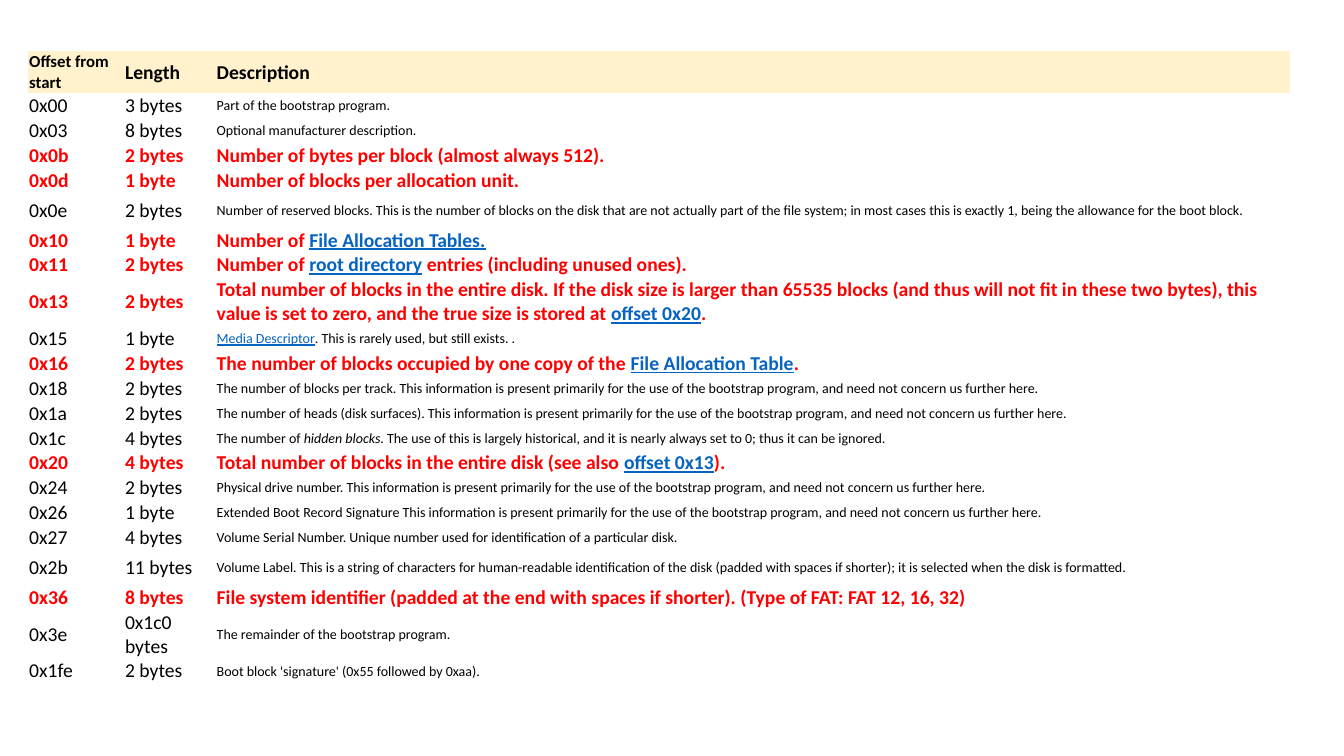
from dataclasses import dataclass

from pptx import Presentation
from pptx.dml.color import RGBColor
from pptx.enum.text import MSO_ANCHOR
from pptx.util import Inches, Pt

HEAD = ("Offset from start", "Length", "Description")
BOOT = ("This information is present primarily for the use of the bootstrap program, "
        "and need not concern us further here.")

# Offset, length, description. A description in parts alternates plain and marked text.
FIELDS = [
    ("0x00", "3 bytes", "Part of the bootstrap program."),
    ("0x03", "8 bytes", "Optional manufacturer description."),
    ("0x0b", "2 bytes", "Number of bytes per block (almost always 512)."),
    ("0x0d", "1 byte", "Number of blocks per allocation unit."),
    ("0x0e", "2 bytes", "Number of reserved blocks. This is the number of blocks on the disk "
     "that are not actually part of the file system; in most cases this is exactly 1, "
     "being the allowance for the boot block."),
    ("0x10", "1 byte", ("Number of ", "File Allocation Tables.")),
    ("0x11", "2 bytes", ("Number of ", "root directory", " entries (including unused ones).")),
    ("0x13", "2 bytes", ("Total number of blocks in the entire disk. If the disk size is larger "
     "than 65535 blocks (and thus will not fit in these two bytes), this value is set to zero, "
     "and the true size is stored at ", "offset 0x20", ".")),
    ("0x15", "1 byte", ("", "Media Descriptor", ". This is rarely used, but still exists. .")),
    ("0x16", "2 bytes", ("The number of blocks occupied by one copy of the ",
                         "File Allocation Table", ".")),
    ("0x18", "2 bytes", f"The number of blocks per track. {BOOT}"),
    ("0x1a", "2 bytes", f"The number of heads (disk surfaces). {BOOT}"),
    ("0x1c", "4 bytes", ("The number of ", "hidden blocks", ". The use of this is largely "
     "historical, and it is nearly always set to 0; thus it can be ignored.")),
    ("0x20", "4 bytes", ("Total number of blocks in the entire disk (see also ",
                         "offset 0x13", ").")),
    ("0x24", "2 bytes", f"Physical drive number. {BOOT}"),
    ("0x26", "1 byte", f"Extended Boot Record Signature {BOOT}"),
    ("0x27", "4 bytes", "Volume Serial Number. Unique number used for identification of a "
     "particular disk."),
    ("0x2b", "11 bytes", "Volume Label. This is a string of characters for human-readable "
     "identification of the disk (padded with spaces if shorter); it is selected when the "
     "disk is formatted."),
    ("0x36", "8 bytes", "File system identifier (padded at the end with spaces if shorter). "
     "(Type of FAT: FAT 12, 16, 32)"),
    ("0x3e", "0x1c0 bytes", "The remainder of the bootstrap program."),
    ("0x1fe", "2 bytes", "Boot block 'signature' (0x55 followed by 0xaa)."),
]
KEY = {"0x0b", "0x0d", "0x10", "0x11", "0x13", "0x16", "0x20", "0x36"}
ITALIC = {"0x1c"}

COLS = (0.95, 0.91, 10.65)  # inches
LINE, TOP = 17.8, 30  # row heights in points
TALL = {"0x0e": 25, "0x2b": 25, "0x13": 34.8, "0x3e": 34.8}
PLAIN_TABLE = "{2D5ABB26-0587-4C30-8999-92F81FD0307C}"


@dataclass(frozen=True)
class Theme:
    font: str = "Calibri"
    ink: str = "000000"
    key: str = "FF0000"
    link: str = "0563C1"
    band: str = "FFF2CC"
    body: int = 14
    head: int = 12
    note: int = 10
    inset: float = 0.35


THEME = Theme()


def write(cell, text, size=THEME.body, color=THEME.ink, bold=False, italic=False, fill=None):
    """Fill a cell; marked parts become italic or look like links."""
    cell.vertical_anchor = MSO_ANCHOR.MIDDLE
    cell.margin_left = cell.margin_right = Inches(0.01)
    cell.margin_top = cell.margin_bottom = Pt(THEME.inset)
    if fill:
        cell.fill.solid()
        cell.fill.fore_color.rgb = RGBColor.from_string(fill)
    else:
        cell.fill.background()
    parts = (text,) if isinstance(text, str) else text
    for i, part in enumerate(parts):
        if not part:
            continue
        mark = i % 2 == 1
        link = mark and not italic
        run = cell.text_frame.paragraphs[0].add_run()
        run.text = part
        font = run.font
        font.name, font.size, font.bold = THEME.font, Pt(size), bold
        font.italic, font.underline = mark and italic, link
        font.color.rgb = RGBColor.from_string(THEME.link if link else color)


def main():
    deck = Presentation()
    deck.slide_width, deck.slide_height = Inches(13.33), Inches(7.5)
    slide = deck.slides.add_slide(deck.slide_layouts[6])

    tall = [TOP] + [TALL.get(field[0], LINE) for field in FIELDS]
    frame = slide.shapes.add_table(len(tall), len(COLS), Inches(0.28), Inches(0.51),
                                   Inches(sum(COLS)), Pt(sum(tall)))
    table = frame.table
    table.first_row = table.horz_banding = False
    for style in frame.element.xpath(".//a:tableStyleId"):
        style.text = PLAIN_TABLE
    for col, width in zip(table.columns, COLS):
        col.width = Inches(width)
    for row, height in zip(table.rows, tall):
        row.height = Pt(height)

    for c, title in enumerate(HEAD):
        write(table.cell(0, c), title, size=THEME.body if c else THEME.head,
              bold=True, fill=THEME.band)
    for r, field in enumerate(FIELDS, 1):
        key = field[0] in KEY
        for c, text in enumerate(field):
            write(table.cell(r, c), text,
                  size=THEME.note if c == 2 and not key else THEME.body,
                  color=THEME.key if key else THEME.ink,
                  bold=key, italic=field[0] in ITALIC)

    deck.save("out.pptx")


if __name__ == "__main__":
    main()
